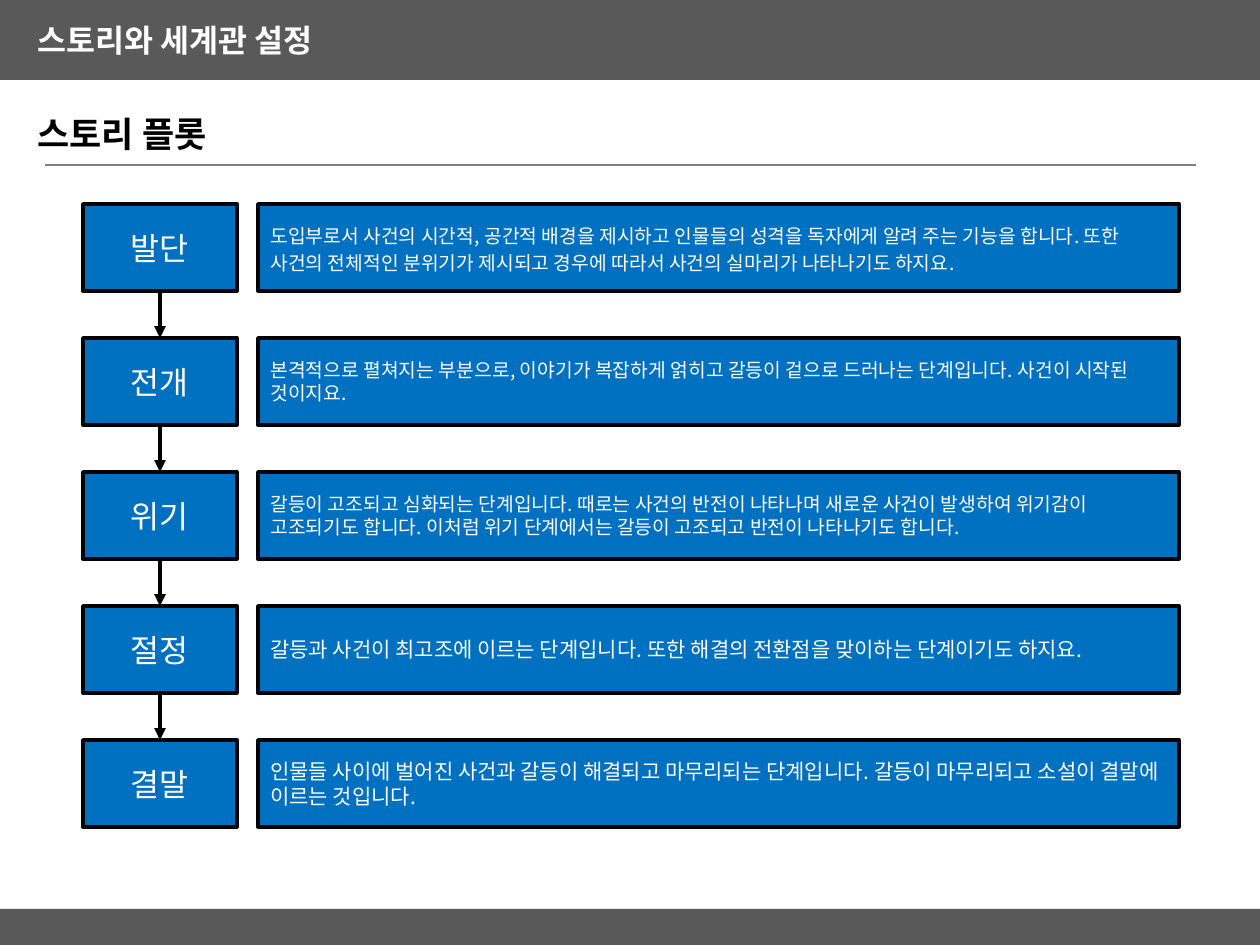
import dataclasses

import lxml.etree
import pptx
import pptx.dml.color
import pptx.enum.shapes
import pptx.enum.text
import pptx.oxml.ns
import pptx.util

EMU_PER_INCH = 914400
PX_PER_INCH = 126
SLIDE_WIDTH, SLIDE_HEIGHT = 1260, 945
FONT = "Noto Sans CJK KR"

WHITE = pptx.dml.color.RGBColor(0xFF, 0xFF, 0xFF)
BLACK = pptx.dml.color.RGBColor(0x00, 0x00, 0x00)
BLUE = pptx.dml.color.RGBColor(0x00, 0x70, 0xC0)
DARK_GRAY = pptx.dml.color.RGBColor(0x59, 0x59, 0x59)
RULE_GRAY = pptx.dml.color.RGBColor(0x7F, 0x7F, 0x7F)

STAGE_LEFT, STAGE_WIDTH = 83, 154
DETAIL_LEFT, DETAIL_WIDTH = 258, 921
FIRST_TOP, BOX_HEIGHT, ROW_PITCH = 204, 87, 134


@dataclasses.dataclass(frozen=True)
class Stage:
    name: str
    detail: str
    size: int
    line_spacing: float = 1.0


STAGES = [
    Stage("발단", "도입부로서 사건의 시간적, 공간적 배경을 제시하고 인물들의 성격을 독자에게 알려 주는 기능을 합니다. "
          "또한 사건의 전체적인 분위기가 제시되고 경우에 따라서 사건의 실마리가 나타나기도 하지요.", 11, 1.15),
    Stage("전개", "본격적으로 펼쳐지는 부분으로, 이야기가 복잡하게 얽히고 갈등이 겉으로 드러나는 단계입니다. "
          "사건이 시작된 것이지요.", 11),
    Stage("위기", "갈등이 고조되고 심화되는 단계입니다. 때로는 사건의 반전이 나타나며 새로운 사건이 발생하여 위기감이 "
          "고조되기도 합니다. 이처럼 위기 단계에서는 갈등이 고조되고 반전이 나타나기도 합니다.", 11),
    Stage("절정", "갈등과 사건이 최고조에 이르는 단계입니다. 또한 해결의 전환점을 맞이하는 단계이기도 하지요.", 12),
    Stage("결말", "인물들 사이에 벌어진 사건과 갈등이 해결되고 마무리되는 단계입니다. "
          "갈등이 마무리되고 소설이 결말에 이르는 것입니다.", 12),
]


def px(length: int) -> pptx.util.Emu:
    return pptx.util.Emu(round(length * EMU_PER_INCH / PX_PER_INCH))


def write_text(shape, text: str, *, size: int, color=WHITE, bold: bool = False,
               centered: bool = False, middle: bool = False, line_spacing: float = 1.0) -> None:
    frame = shape.text_frame
    frame.word_wrap = True
    anchor = pptx.enum.text.MSO_ANCHOR
    frame.vertical_anchor = anchor.MIDDLE if middle else anchor.TOP
    paragraph = frame.paragraphs[0]
    alignment = pptx.enum.text.PP_ALIGN
    paragraph.alignment = alignment.CENTER if centered else alignment.LEFT
    paragraph.line_spacing = line_spacing
    run = paragraph.add_run()
    run.text = text
    run.font.size = pptx.util.Pt(size)
    run.font.bold = bold
    run.font.color.rgb = color
    run.font.name = FONT
    east_asian = lxml.etree.SubElement(run.font._element, pptx.oxml.ns.qn("a:ea"))
    east_asian.set("typeface", FONT)


def add_box(slide, left: int, top: int, width: int, height: int, fill, outlined: bool = False):
    shape = slide.shapes.add_shape(pptx.enum.shapes.MSO_SHAPE.RECTANGLE,
                                   px(left), px(top), px(width), px(height))
    shape.shadow.inherit = False
    shape.fill.solid()
    shape.fill.fore_color.rgb = fill
    if outlined:
        shape.line.color.rgb = BLACK
        shape.line.width = pptx.util.Pt(2)
    else:
        shape.line.fill.background()
    return shape


def add_line(slide, start: tuple[int, int], end: tuple[int, int], color,
             weight: float, arrow: bool = False) -> None:
    connector = slide.shapes.add_connector(pptx.enum.shapes.MSO_CONNECTOR.STRAIGHT,
                                           px(start[0]), px(start[1]), px(end[0]), px(end[1]))
    connector.line.color.rgb = color
    connector.line.width = pptx.util.Pt(weight)
    properties = connector._element.spPr
    if arrow:
        line = properties.find(pptx.oxml.ns.qn("a:ln"))
        lxml.etree.SubElement(line, pptx.oxml.ns.qn("a:tailEnd")).set("type", "triangle")
    lxml.etree.SubElement(properties, pptx.oxml.ns.qn("a:effectLst"))


def add_heading(slide, text: str, left: int, top: int, width: int, height: int,
                size: int, color) -> None:
    textbox = slide.shapes.add_textbox(px(left), px(top), px(width), px(height))
    write_text(textbox, text, size=size, color=color, bold=True)


def add_stage(slide, stage: Stage, top: int) -> None:
    name_box = add_box(slide, STAGE_LEFT, top, STAGE_WIDTH, BOX_HEIGHT, BLUE, outlined=True)
    write_text(name_box, stage.name, size=18, centered=True, middle=True)
    detail_box = add_box(slide, DETAIL_LEFT, top, DETAIL_WIDTH, BOX_HEIGHT, BLUE, outlined=True)
    write_text(detail_box, stage.detail, size=stage.size, middle=True,
               line_spacing=stage.line_spacing)


def main() -> None:
    presentation = pptx.Presentation()
    presentation.slide_width = px(SLIDE_WIDTH)
    presentation.slide_height = px(SLIDE_HEIGHT)
    slide = presentation.slides.add_slide(presentation.slide_layouts[6])

    add_box(slide, 0, 0, SLIDE_WIDTH, 80, DARK_GRAY)
    add_box(slide, 0, 909, SLIDE_WIDTH, 36, DARK_GRAY)
    add_line(slide, (45, 165), (1196, 165), RULE_GRAY, 0.75)
    add_heading(slide, "스토리와 세계관 설정", 25, 15, 650, 51, 18, WHITE)
    add_heading(slide, "스토리 플롯", 25, 106, 992, 55, 20, BLACK)

    arrow_x = STAGE_LEFT + STAGE_WIDTH // 2
    for index, stage in enumerate(STAGES):
        top = FIRST_TOP + index * ROW_PITCH
        add_stage(slide, stage, top)
        if index > 0:
            previous_bottom = top - ROW_PITCH + BOX_HEIGHT
            add_line(slide, (arrow_x, previous_bottom), (arrow_x, top), BLACK, 2.25, arrow=True)

    presentation.save("out.pptx")


if __name__ == "__main__":
    main()
